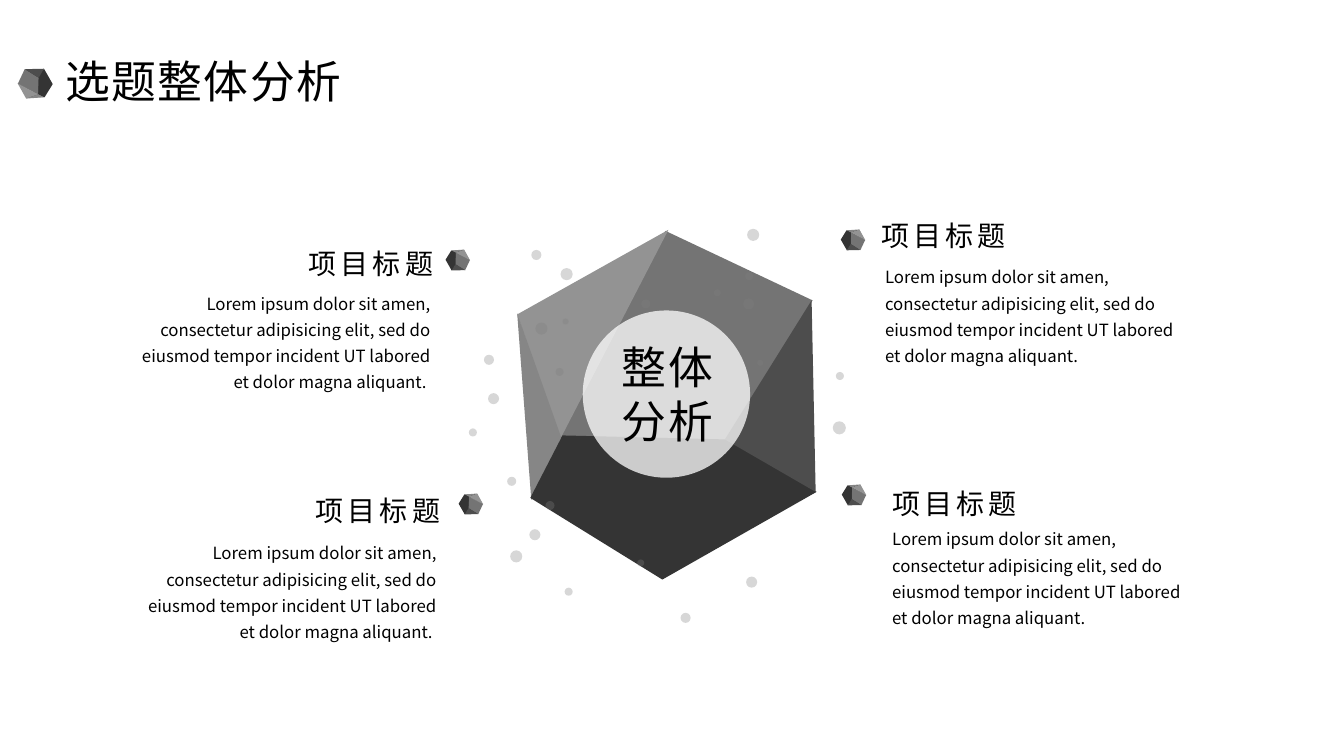
import math

from lxml import etree
from pptx import Presentation
from pptx import util as u
from pptx.dml.color import RGBColor
from pptx.enum import shapes, text
from pptx.oxml.ns import qn

COLORS = {
    "base": "262626", "front": "747474", "light": "939393", "left": "868686",
    "bottom": "343434", "right": "4D4D4D", "dot": "7F7F7F", "disc": "FFFFFF",
    "ink": "000000",
}
HEAD_FONT, BODY_FONT = "Noto Sans CJK JP", "Noto Sans CJK SC"

FACETS = [
    ("base", [(5.29, 4.84), (5.21, 3.14), (6.57, 2.42), (8.01, 3.12), (8, 4.82), (6.61, 5.62)]),
    ("front", [(6.6, 2.29), (5.56, 4.34), (7.19, 4.37), (8.06, 2.98)]),
    ("light", [(5.13, 3.12), (5.56, 4.35), (6.63, 2.28)]),
    ("left", [(5.13, 3.11), (5.27, 4.96), (5.57, 4.35)]),
    ("bottom", [(5.26, 4.94), (6.57, 5.75), (8.1, 4.88), (7.2, 4.36), (5.58, 4.32)]),
    ("right", [(8.05, 2.98), (8.09, 4.88), (7.19, 4.36)]),
]
GEM_CENTER = (6.61, 4.02)
TITLE_GEM = (0.35, 0.83, 0.1, 270)
MAIN_GEM = (*GEM_CENTER, 1, 0)
ITEM_GEMS = [(x, y, 0.07, 90) for x, y in [(4.54, 2.58), (8.46, 2.38), (8.47, 4.91), (4.67, 5)]]

DOTS = [
    (5.58, 3.16, 0.06), (7.51, 3.57, 0.06), (6.32, 5.55, 0.07), (7.08, 2.87, 0.07),
    (5.6, 5.83, 0.08), (8.29, 3.69, 0.08), (7.39, 2.7, 0.08), (5.41, 4.97, 0.09),
    (6.36, 2.97, 0.09), (5.03, 4.73, 0.09), (5.27, 2.48, 0.1), (4.8, 3.52, 0.1),
    (5.25, 5.25, 0.11), (7.4, 5.72, 0.11), (7.37, 2.96, 0.11), (4.84, 3.9, 0.11),
    (7.41, 2.27, 0.12), (5.51, 3.65, 0.08), (5.06, 5.46, 0.12), (8.26, 4.18, 0.13),
    (6.75, 6.08, 0.1), (4.65, 4.25, 0.08), (5.56, 2.66, 0.12), (5.31, 3.2, 0.12),
]

SLIDE_TITLE = "选题整体分析"
CENTER_LINES = ["整体", "分析"]
ITEM_TITLE = "项目标题"
ITEM_BODY = (
    "Lorem ipsum dolor sit amen, consectetur adipisicing elit, sed do "
    "eiusmod tempor incident UT labored et dolor magna aliquant."
)
ITEMS = [
    ((2.96, 2.3), (1.16, 2.8), "right"),
    ((3.03, 4.75), (1.22, 5.28), "right"),
    ((8.64, 2.02), (8.68, 2.54), "left"),
    ((8.75, 4.68), (8.75, 5.14), "left"),
]
BODY_SIDES = {
    "right": (3.21, " ", text.PP_ALIGN.RIGHT),
    "left": (3.19, "", text.PP_ALIGN.LEFT),
}
BIG = {"size": 32, "font": HEAD_FONT, "spc": 1, "spacing": 1.0}
HEADING = {"size": 20, "font": HEAD_FONT, "spc": 3, "spacing": 1.3}
BODY = {"size": 12, "font": BODY_FONT, "spc": 0, "spacing": 1.3}


def paint(sp, color, alpha=100):
    sp.shadow.inherit = False
    sp.fill.solid()
    sp.fill.fore_color.rgb = RGBColor.from_string(COLORS[color])
    sp.line.fill.background()
    if alpha < 100:
        clr = sp._element.spPr.find(qn("a:solidFill"))[0]
        etree.SubElement(clr, qn("a:alpha")).set("val", str(alpha * 1000))


def turn_about(sp, x, y, turn):
    dx = sp.left + sp.width / 2 - x
    dy = sp.top + sp.height / 2 - y
    cos, sin = math.cos(math.radians(turn)), math.sin(math.radians(turn))
    sp.left = round(x + dx * cos - dy * sin - sp.width / 2)
    sp.top = round(y + dx * sin + dy * cos - sp.height / 2)
    sp.rotation = turn


def add_gem(s, x, y, scale, turn):
    facets = []
    for color, points in FACETS:
        placed = [
            (u.Inches(x + (px - GEM_CENTER[0]) * scale), u.Inches(y + (py - GEM_CENTER[1]) * scale))
            for px, py in points
        ]
        outline = s.shapes.build_freeform(*placed[0])
        outline.add_line_segments(placed[1:], close=True)
        sp = outline.convert_to_shape()
        paint(sp, color)
        turn_about(sp, u.Inches(x), u.Inches(y), turn)
        facets.append(sp)
    s.shapes.add_group_shape(facets)


def add_circle(s, x, y, size, color, alpha):
    box = [u.Inches(v) for v in (x, y, size, size)]
    paint(s.shapes.add_shape(shapes.MSO_SHAPE.OVAL, *box), color, alpha)


def add_text(s, box, lines, style, align=text.PP_ALIGN.LEFT):
    tf = s.shapes.add_textbox(*[u.Inches(v) for v in box]).text_frame
    tf.word_wrap = True
    for i, line in enumerate(lines):
        p = tf.paragraphs[0] if i == 0 else tf.add_paragraph()
        p.alignment = align
        p.line_spacing = style["spacing"]
        r = p.add_run()
        r.text = line
        for name, value in {"size": u.Pt(style["size"]), "name": style["font"]}.items():
            setattr(r.font, name, value)
        r.font.color.rgb = RGBColor.from_string(COLORS["ink"])
        rpr = r.font._element
        rpr.set("spc", str(style["spc"] * 100))
        etree.SubElement(rpr, qn("a:ea")).set("typeface", style["font"])


prs = Presentation()
prs.slide_width, prs.slide_height = u.Inches(13.33), u.Inches(7.5)
s = prs.slides.add_slide(prs.slide_layouts[6])

for gem in (TITLE_GEM, MAIN_GEM):
    add_gem(s, *gem)
for dot in DOTS:
    add_circle(s, *dot, "dot", 31)
for heading_at, body_at, side in ITEMS:
    width, tail, align = BODY_SIDES[side]
    add_text(s, (*heading_at, 1.71, 0.48), [ITEM_TITLE], HEADING)
    add_text(s, (*body_at, width, 1.15), [ITEM_BODY + tail], BODY, align)
add_text(s, (0.55, 0.48, 3.85, 0.64), [SLIDE_TITLE], BIG)
add_circle(s, 5.78, 3.08, 1.66, "disc", 75)
add_text(s, (6.07, 3.32, 1.35, 1.18), CENTER_LINES, BIG)
for gem in ITEM_GEMS:
    add_gem(s, *gem)

prs.save("out.pptx")
